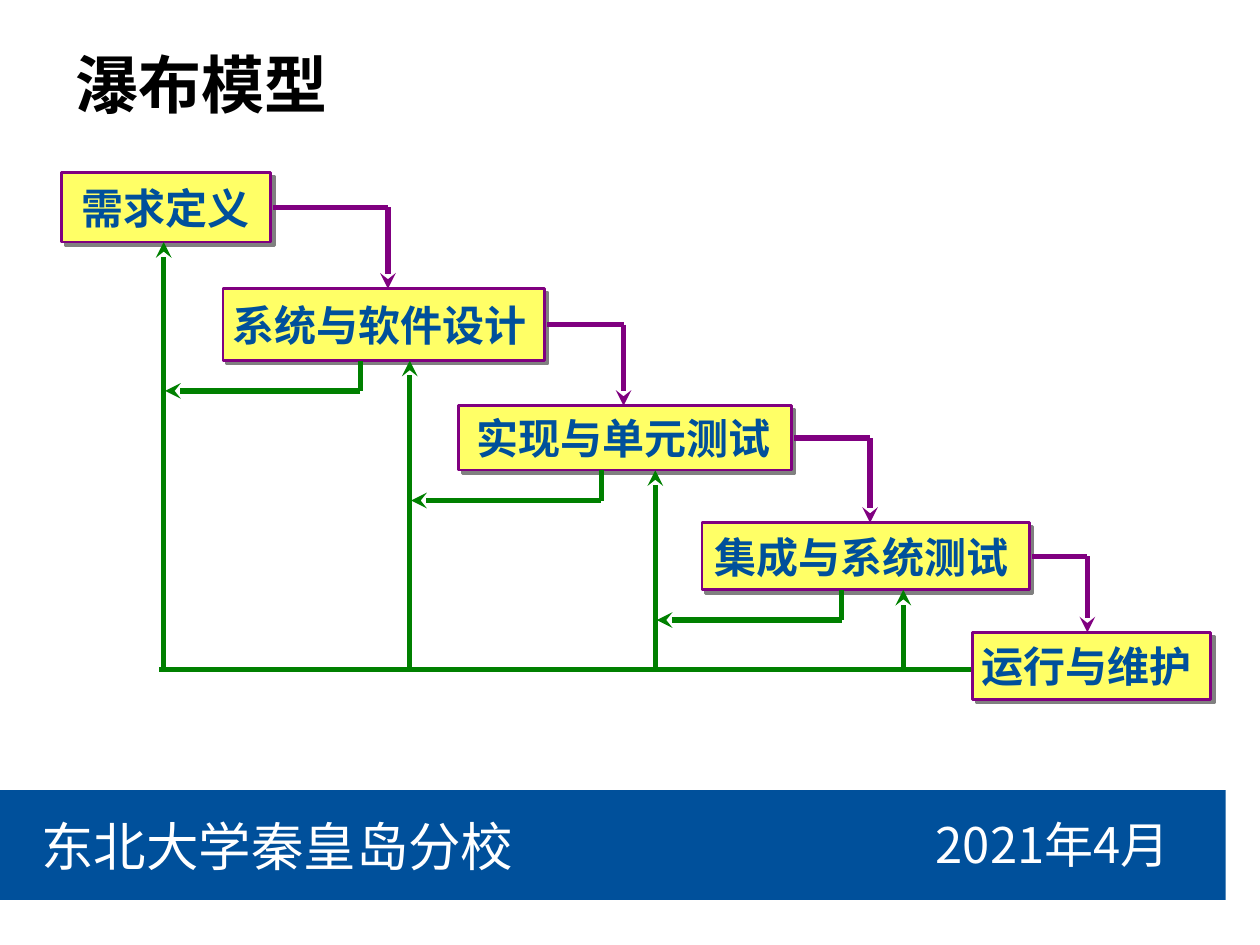
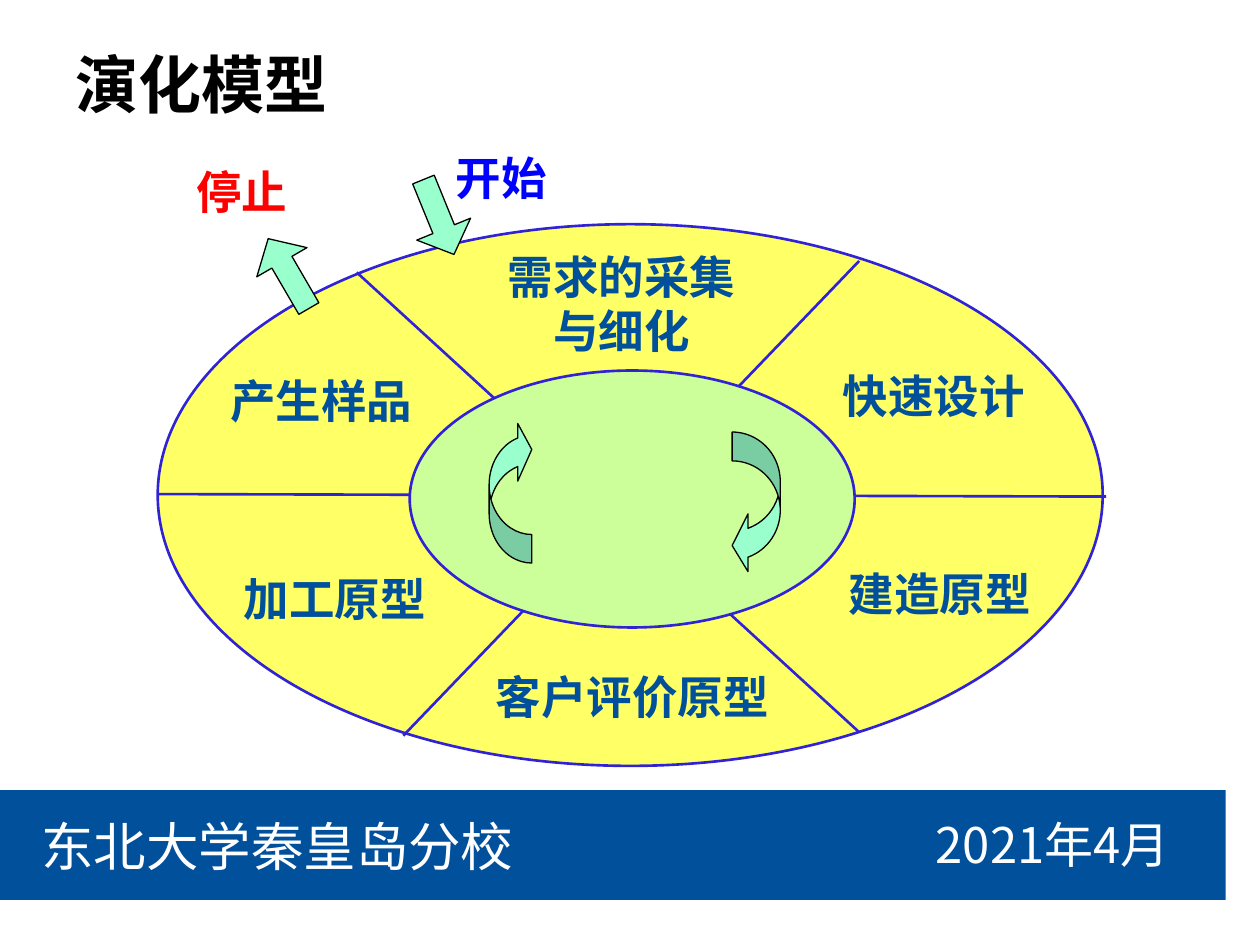
"""Build two slides on software process models: waterfall and evolutionary."""
from dataclasses import dataclass

from lxml.etree import SubElement
from pptx import Presentation
from pptx.dml.color import RGBColor
from pptx.enum.shapes import MSO_CONNECTOR, MSO_SHAPE
from pptx.enum.text import MSO_ANCHOR, PP_ALIGN
from pptx.oxml.ns import qn
from pptx.util import Cm, Pt


@dataclass(frozen=True)
class Theme:
    blue: str = "00509B"
    white: str = "FFFFFF"
    black: str = "000000"
    yellow: str = "FFFF66"
    purple: str = "800080"
    green: str = "008000"
    shadow: str = "808080"
    outline: str = "3023D5"
    core: str = "CCFF99"
    mint: str = "99FFCC"
    stop: str = "FF0000"
    start: str = "0000FF"
    sans: str = "Noto Sans CJK SC"
    serif: str = "Times New Roman"
    heading: str = "Karla"
    title_size: int = 36
    school_size: int = 30
    date_size: int = 28
    label_size: int = 26
    stage_size: int = 24


T = Theme()


def write(sp, text, size, color, font=T.sans, bold=True, align=PP_ALIGN.LEFT, spacing=None):
    tf = sp.text_frame
    tf.text = text
    tf.vertical_anchor = MSO_ANCHOR.MIDDLE
    for p in tf.paragraphs:
        p.alignment = align
        p.line_spacing = spacing
        p.font.name = font
        p.font.size = Pt(size)
        p.font.bold = bold
        p.font.color.rgb = RGBColor.from_string(color)
        SubElement(p.font._element if hasattr(p.font, "_element") else p._p.pPr.find(qn("a:defRPr")),
                   qn("a:ea"), typeface=T.sans)


def draw_line(s, x1, y1, x2, y2, color, width, arrow=False):
    cn = s.shapes.add_connector(MSO_CONNECTOR.STRAIGHT, Cm(x1), Cm(y1), Cm(x2), Cm(y2))
    cn.line.color.rgb = RGBColor.from_string(color)
    cn.line.width = Pt(width)
    if arrow:
        SubElement(cn.line._get_or_add_ln(), qn("a:tailEnd"), type="stealth")
    SubElement(cn.element.spPr, qn("a:effectLst"))


prs = Presentation()
prs.slide_width, prs.slide_height = Cm(25.4), Cm(19.05)
layout = prs.slide_layouts[5]
title = layout.placeholders[0]
title.left, title.top, title.width, title.height = Cm(1.27), Cm(0.76), Cm(22.15), Cm(1.83)

waterfall, evolution = slides = [prs.slides.add_slide(layout) for _ in range(2)]
for s, text in zip(slides, ["瀑布模型", "演化模型"]):
    write(s.shapes.title, text, T.title_size, T.black, T.heading)

s = waterfall
band = s.shapes.add_shape(MSO_SHAPE.RECTANGLE, 0, Cm(15.93), Cm(24.71), Cm(2.21))
band.shadow.inherit = False
band.fill.solid()
band.fill.fore_color.rgb = RGBColor.from_string(T.blue)
band.line.fill.background()
school = s.shapes.add_textbox(Cm(0.58), Cm(16.28), Cm(10.13), Cm(1.55))
write(school, "东北大学秦皇岛分校", T.school_size, T.white, bold=False)
date = s.shapes.add_textbox(Cm(18.26), Cm(16.36), Cm(5.92), Cm(1.32))
date.text_frame.word_wrap = True
write(date, "2021年4月", T.date_size, T.white, bold=False, align=PP_ALIGN.CENTER)
for number, sp in enumerate([band, school, date], 20):
    sp.element.nvSpPr.cNvPr.id = number
    layout.element.cSld.spTree.append(sp.element)

bus_y = 13.49
draw_line(s, 19.58, bus_y, 3.2, bus_y, T.green, 3)
stages = [
    ("需求定义", 1.24, 3.48, 4.22, 1.4, 0.41, T.sans),
    ("系统与软件设计", 4.5, 5.82, 6.48, 1.45, 0.18, T.serif),
    ("实现与单元测试", 9.25, 8.18, 6.71, 1.3, 0.36, T.serif),
    ("集成与系统测试", 14.15, 10.54, 6.6, 1.35, 0.25, T.serif),
    ("运行与维护", 19.61, 12.75, 4.8, 1.35, 0.18, T.sans),
]
for text, x, y, w, h, inset, font in stages:
    sp = s.shapes.add_shape(MSO_SHAPE.RECTANGLE, Cm(x), Cm(y), Cm(w), Cm(h))
    sp.fill.solid()
    sp.fill.fore_color.rgb = RGBColor.from_string(T.yellow)
    sp.line.color.rgb = RGBColor.from_string(T.purple)
    sp.line.width = Pt(1.5)
    sp.shadow.inherit = False
    shadow = SubElement(sp.element.spPr.find(qn("a:effectLst")), qn("a:outerShdw"),
                        blurRad="0", dist=str(Pt(2.8)), dir="2700000", algn="ctr", rotWithShape="0")
    SubElement(shadow, qn("a:srgbClr"), val=T.shadow)
    sp.text_frame.word_wrap = False
    sp.text_frame.margin_left = Cm(inset)
    write(sp, text, T.stage_size, T.blue, font)

forward_x = [7.82, 12.57, 17.54, 21.92]
riser_x = [3.3, 8.26, 13.21, 18.21]
feedback_x = [7.26, 12.12, 16.97]
for i, (corner, riser) in enumerate(zip(forward_x, riser_x)):
    _, x, y, w, h, _, _ = stages[i]
    middle = y + h / 2
    draw_line(s, x + w + 0.05, middle, corner, middle, T.purple, 3)
    draw_line(s, corner, middle, corner, stages[i + 1][2], T.purple, 3, True)
    draw_line(s, riser, bus_y, riser, y + h, T.green, 3, True)
for i, x in enumerate(feedback_x):
    bottom = stages[i + 1][2] + stages[i + 1][4]
    draw_line(s, x, bottom, x, bottom + 0.61, T.green, 3)
    draw_line(s, x, bottom + 0.61, riser_x[i] + 0.03, bottom + 0.61, T.green, 3, True)

s = evolution
ring = s.shapes.add_shape(MSO_SHAPE.OVAL, Cm(3.18), Cm(4.52), Cm(19.05), Cm(10.92))
for ends in [(17.32, 5.26, 8.13, 14.83), (3.18, 9.96, 22.3, 10.01), (7.19, 5.49, 17.32, 14.76)]:
    draw_line(s, *ends, T.outline, 1.5)
core = s.shapes.add_shape(MSO_SHAPE.OVAL, Cm(8.26), Cm(7.47), Cm(8.97), Cm(5.18))
for sp, color in [(ring, T.yellow), (core, T.core)]:
    sp.shadow.inherit = False
    sp.fill.solid()
    sp.fill.fore_color.rgb = RGBColor.from_string(color)
    sp.line.color.rgb = RGBColor.from_string(T.outline)
    sp.line.width = Pt(1.5)

arrows = [
    (MSO_SHAPE.DOWN_ARROW, 5.23, 4.7, 1.17, 1.63, 149.8, (0.4, 0.47)),
    (MSO_SHAPE.DOWN_ARROW, 8.26, 3.56, 1.17, 1.63, 337.8, (0.4, 0.47)),
    (MSO_SHAPE.CURVED_LEFT_ARROW, 14.76, 8.71, 0.97, 2.87, 0, (0.6, 1.2, 0.33)),
    (MSO_SHAPE.CURVED_LEFT_ARROW, 9.86, 8.48, 0.86, 2.87, 180, (0.67, 1.35, 0.33)),
]
for kind, x, y, w, h, angle, adjustments in arrows:
    sp = s.shapes.add_shape(kind, Cm(x), Cm(y), Cm(w), Cm(h))
    sp.rotation = angle
    for i, value in enumerate(adjustments):
        sp.adjustments[i] = value
    sp.shadow.inherit = False
    sp.fill.solid()
    sp.fill.fore_color.rgb = RGBColor.from_string(T.mint)
    sp.line.color.rgb = RGBColor.from_string(T.black)
    sp.line.width = Pt(0.75)

labels = [
    ("需求的采集\n与细化", 9.17, 4.98, 6.73, 2.29, T.blue, PP_ALIGN.CENTER),
    ("快速设计", 15.93, 7.21, 5.79, 1.52, T.blue, PP_ALIGN.CENTER),
    ("建造原型", 16.05, 11.2, 5.79, 1.52, T.blue, PP_ALIGN.CENTER),
    ("客户评价原型", 8.89, 13.28, 7.72, 1.52, T.blue, PP_ALIGN.CENTER),
    ("加工原型", 3.86, 11.3, 5.79, 1.52, T.blue, PP_ALIGN.CENTER),
    ("产生样品", 3.58, 7.32, 5.79, 1.52, T.blue, PP_ALIGN.CENTER),
    ("停止", 3.71, 3.05, 4.06, 1.63, T.stop, PP_ALIGN.LEFT),
    ("开始", 8.94, 2.77, 4.06, 1.63, T.start, PP_ALIGN.LEFT),
]
for text, x, y, w, h, color, align in labels:
    sp = s.shapes.add_textbox(Cm(x), Cm(y), Cm(w), Cm(h))
    sp.text_frame.word_wrap = True
    write(sp, text, T.label_size, color, T.serif, align=align, spacing=Pt(31))

# The title inherits its place from the layout.
prs.save("out.pptx")
